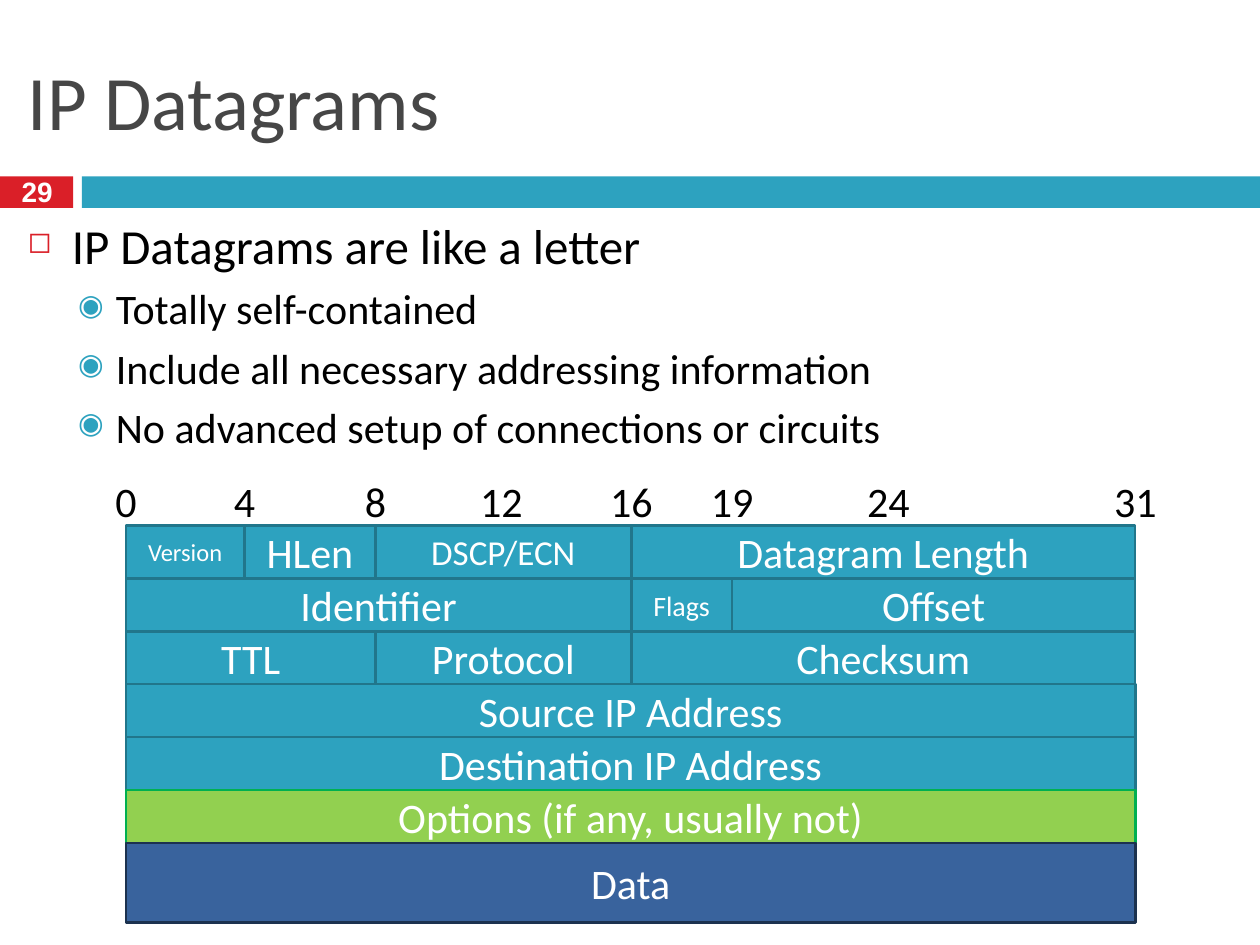
from dataclasses import dataclass

import pptx
import pptx.dml.color
import pptx.enum.shapes
import pptx.enum.text
import pptx.oxml
import pptx.oxml.ns
import pptx.util
from pptx.util import Inches

ALIGN = pptx.enum.text.PP_ALIGN
ANCHOR = pptx.enum.text.MSO_ANCHOR
RECT = pptx.enum.shapes.MSO_SHAPE.RECTANGLE

RED, TEAL, EDGE = "DA1F28", "2DA2BF", "21768B"
WHITE, BLACK, GRAY = "FFFFFF", "000000", "464646"

# Left edge of each labelled bit, in inches
TICKS = {0: 1, 4: 1.94, 8: 2.98, 12: 3.98, 16: 5.01, 19: 5.81, 24: 7.05, 31: 9.01}
TOP, ROW = 4.17, 0.42


@dataclass
class Field:
    name: str
    start: int = 0
    end: int = 31
    size: int = 24
    fill: str = TEAL
    line: str = EDGE
    high: float = ROW


@dataclass
class Point:
    text: str
    size: int = 24
    level: int = 1
    left: float = 0.7
    hang: float = 0.3
    before: int = 5
    mark: str = "◉"
    color: str = TEAL
    scale: int = 70


ROWS = [
    [Field("Version", 0, 4, 14), Field("HLen", 4, 8),
     Field("DSCP/ECN", 8, 16, 20), Field("Datagram Length", 16)],
    [Field("Identifier", 0, 16), Field("Flags", 16, 19, 16), Field("Offset", 19)],
    [Field("TTL", 0, 8), Field("Protocol", 8, 16), Field("Checksum", 16)],
    [Field("Source IP Address")],
    [Field("Destination IP Address")],
    [Field("Options (if any, usually not)", fill="92D050", line="00B050")],
    [Field("Data", fill="39639D", line="1C324F", high=0.63)],
]

POINTS = [
    Point("IP Datagrams are like a letter", 28, 0, 0.35, 0.35, 0, "◻", RED, 60),
    Point("Totally self-contained"),
    Point("Include all necessary addressing information"),
    Point("No advanced setup of connections or circuits"),
]


def rgb(code: str):
    return pptx.dml.color.RGBColor.from_string(code)


def add_run(para, text: str, size: float, color: str, face="Calibri", bold=False):
    run = para.add_run()
    run.text = text
    font = run.font
    font.size, font.name, font.bold = pptx.util.Pt(size), face, bold
    font.color.rgb = rgb(color)


def set_frame(frame, anchor, side=0.05, edge=0.05, wrap=True):
    frame.word_wrap = wrap
    frame.vertical_anchor = anchor
    frame.margin_left = frame.margin_right = Inches(side)
    frame.margin_top = frame.margin_bottom = Inches(edge)


def add_text(slide, x: float, y: float, w: float, h: float,
             anchor=ANCHOR.MIDDLE, wrap=True):
    box = slide.shapes.add_textbox(Inches(x), Inches(y), Inches(w), Inches(h))
    set_frame(box.text_frame, anchor, wrap=wrap)
    return box.text_frame


def add_rect(slide, x: float, y: float, w: float, h: float, fill: str, line=None):
    rect = slide.shapes.add_shape(RECT, Inches(x), Inches(y), Inches(w), Inches(h))
    rect.shadow.inherit = False
    rect.fill.solid()
    rect.fill.fore_color.rgb = rgb(fill)
    if line:
        rect.line.color.rgb = rgb(line)
        rect.line.width = pptx.util.Pt(1.5)
    else:
        rect.line.fill.background()
    return rect


def add_point(para, point: Point):
    """Fill a paragraph with one bulleted line."""
    props = para._p.get_or_add_pPr()
    props.set("marL", str(Inches(point.left)))
    props.set("indent", str(-Inches(point.hang)))
    space = pptx.oxml.ns.nsdecls("a")
    for xml in (
        f'<a:buClr {space}><a:srgbClr val="{point.color}"/></a:buClr>',
        f'<a:buSzPct {space} val="{point.scale * 1000}"/>',
        f'<a:buChar {space} char="{point.mark}"/>',
    ):
        props.append(pptx.oxml.parse_xml(xml))
    para.level = point.level
    para.space_before = pptx.util.Pt(point.before)
    add_run(para, point.text, point.size, BLACK)


def add_field(slide, field: Field, y: float):
    x = TICKS[field.start]
    rect = add_rect(slide, x, y, TICKS[field.end] - x, field.high,
                    field.fill, field.line)
    set_frame(rect.text_frame, ANCHOR.MIDDLE, edge=0)
    para = rect.text_frame.paragraphs[0]
    para.alignment = ALIGN.CENTER
    add_run(para, field.name, field.size, WHITE)


def add_tick(slide, bit: int, x: float):
    wide = 0.65
    para = add_text(slide, x - wide / 2, 3.73, wide, 0.48).paragraphs[0]
    para.alignment = ALIGN.CENTER
    add_run(para, str(bit), 24, BLACK)


def add_head(slide):
    """Draw the title, the two bars and the page number."""
    add_rect(slide, 0, 1.4, 0.58, 0.25, RED)
    add_rect(slide, 0.65, 1.4, 9.35, 0.25, TEAL)
    title = add_text(slide, 0.17, 0.25, 9.67, 1.08)
    add_run(title.paragraphs[0], "IP Datagrams", 44, GRAY)
    page = add_text(slide, 0.12, 1.37, 0.35, 0.35, wrap=False).paragraphs[0]
    page.alignment = ALIGN.CENTER
    page.line_spacing = 0.8
    add_run(page, "29", 16, WHITE, "Arial", True)


def main():
    deck = pptx.Presentation()
    deck.slide_width, deck.slide_height = Inches(10), Inches(7.5)
    slide = deck.slides.add_slide(deck.slide_layouts[6])
    add_head(slide)

    body = add_text(slide, 0.17, 1.66, 9.67, 2.25, ANCHOR.TOP)
    for i, point in enumerate(POINTS):
        add_point(body.add_paragraph() if i else body.paragraphs[0], point)

    for bit, x in TICKS.items():
        add_tick(slide, bit, x)
    for i, row in enumerate(ROWS):
        for field in row:
            add_field(slide, field, TOP + i * ROW)

    deck.save("out.pptx")


if __name__ == "__main__":
    main()
